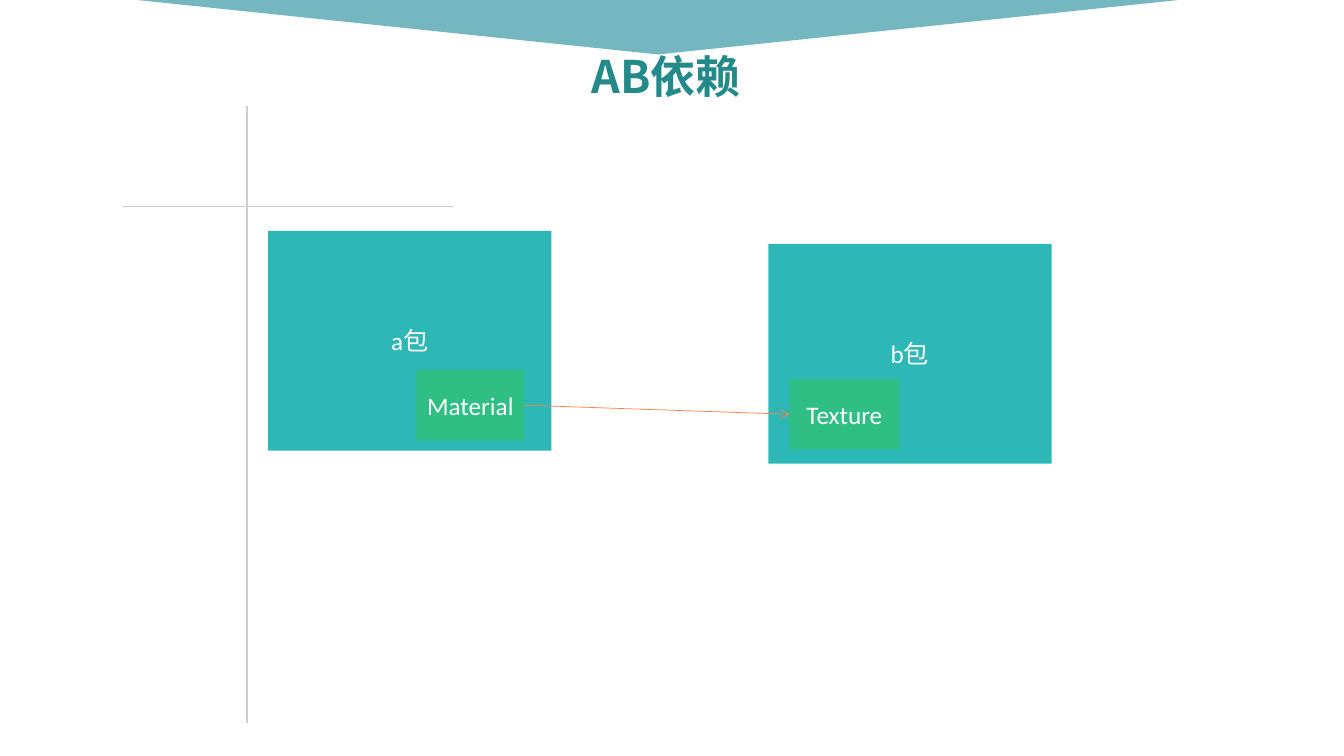
from dataclasses import dataclass

import lxml.etree
import pptx
import pptx.dml.color
import pptx.enum.shapes
import pptx.enum.text
import pptx.oxml.ns
import pptx.util
from pptx.util import Inches

SHAPES = pptx.enum.shapes.MSO_SHAPE
RIGHT_SIDE, LEFT_SIDE = 3, 1


@dataclass(frozen=True)
class Theme:
    banner: str = "198898"
    banner_opacity: int = 60
    title: str = "238989"
    rule: str = "CFCFCF"
    bundle: str = "2EB7B7"
    asset: str = "2FBF84"
    arrow: str = "FF7F41"
    label: str = "FFFFFF"
    latin_font: str = "Calibri"
    chinese_font: str = "Noto Sans CJK SC"
    title_size: int = 32
    label_size: int = 18


def add_element(parent, tag, **attributes):
    return lxml.etree.SubElement(parent, pptx.oxml.ns.qn(tag), attributes)


def rgb(color):
    return pptx.dml.color.RGBColor.from_string(color)


class SlideBuilder:
    def __init__(self, slide, theme):
        self.shapes = slide.shapes
        self.theme = theme

    def label(self, box, text, size, color, font, bold=False):
        frame = box.text_frame
        frame.word_wrap = True
        frame.vertical_anchor = pptx.enum.text.MSO_ANCHOR.MIDDLE
        para = frame.paragraphs[0]
        para.alignment = pptx.enum.text.PP_ALIGN.CENTER
        para.font.size = pptx.util.Pt(size)
        para.font.bold = bold
        para.font.color.rgb = rgb(color)
        para.font.name = font
        span = para.add_run()
        span.text = text
        # East Asian glyphs need their own typeface
        add_element(span.font._element, "a:ea", typeface=self.theme.chinese_font)
        return para

    def shape(self, kind, left, top, width, height, color):
        shape = self.shapes.add_shape(
            kind, Inches(left), Inches(top), Inches(width), Inches(height))
        shape.shadow.inherit = False
        shape.fill.solid()
        shape.fill.fore_color.rgb = rgb(color)
        shape.line.fill.background()
        return shape

    def banner(self, left, top, width, height):
        banner = self.shape(SHAPES.ISOSCELES_TRIANGLE, left, top, width, height,
                            self.theme.banner)
        banner.rotation = 180
        color = banner._element.spPr.find(".//" + pptx.oxml.ns.qn("a:srgbClr"))
        add_element(color, "a:alpha", val=str(self.theme.banner_opacity * 1000))

    def title(self, text, left, top, width, height):
        box = self.shapes.add_textbox(
            Inches(left), Inches(top), Inches(width), Inches(height))
        para = self.label(box, text, self.theme.title_size, self.theme.title,
                          self.theme.chinese_font, bold=True)
        para.line_spacing = 0.9

    def box(self, text, left, top, width, height, color):
        box = self.shape(SHAPES.RECTANGLE, left, top, width, height, color)
        box.text_frame.margin_left = box.text_frame.margin_right = Inches(0.05)
        self.label(box, text, self.theme.label_size, self.theme.label,
                   self.theme.latin_font)
        return box

    def line(self, start, end, color, weight):
        line = self.shapes.add_connector(
            pptx.enum.shapes.MSO_CONNECTOR.STRAIGHT,
            *(Inches(value) for value in (*start, *end)))
        line.line.color.rgb = rgb(color)
        line.line.width = pptx.util.Pt(weight)
        add_element(line._element.spPr, "a:effectLst")
        return line

    def dependency(self, source, target):
        arrow = self.line((0, 0), (1, 1), self.theme.arrow, 0.5)
        arrow.begin_connect(source, RIGHT_SIDE)
        arrow.end_connect(target, LEFT_SIDE)
        add_element(arrow.line._get_or_add_ln(), "a:tailEnd", type="arrow")


def main():
    deck = pptx.Presentation()
    deck.slide_width, deck.slide_height = Inches(13.33), Inches(7.5)
    theme = Theme()
    page = SlideBuilder(deck.slides.add_slide(deck.slide_layouts[6]), theme)

    # Heading
    page.banner(1.36, 0, 10.33, 0.54)
    page.title("AB依赖", 0.66, 0.43, 11.89, 0.7)

    # Crossed rules
    page.line((1.22, 2.05), (4.49, 2.05), theme.rule, 1)
    page.line((2.45, 1.05), (2.45, 7.17), theme.rule, 1)

    # Bundles, each holding one asset
    assets = []
    for bundle, left, top, asset, asset_left, asset_top, asset_width in (
        ("a包", 2.66, 2.29, "Material", 4.13, 3.67, 1.07),
        ("b包", 7.62, 2.42, "Texture", 7.83, 3.76, 1.09),
    ):
        page.box(bundle, left, top, 2.81, 2.18, theme.bundle)
        assets.append(page.box(asset, asset_left, asset_top, asset_width, 0.7,
                               theme.asset))

    # Dependency arrow
    page.dependency(*assets)

    deck.save("out.pptx")


if __name__ == "__main__":
    main()
